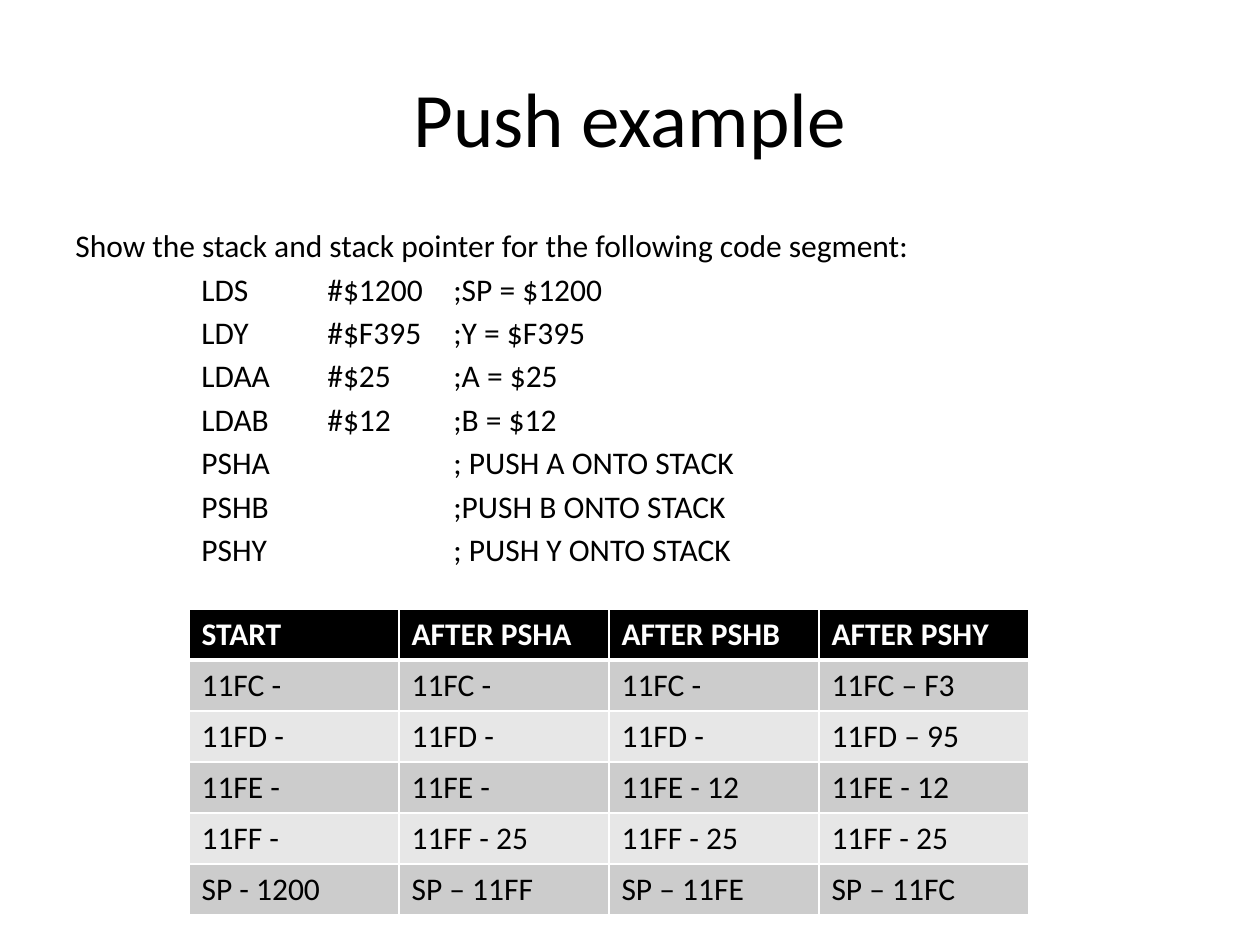
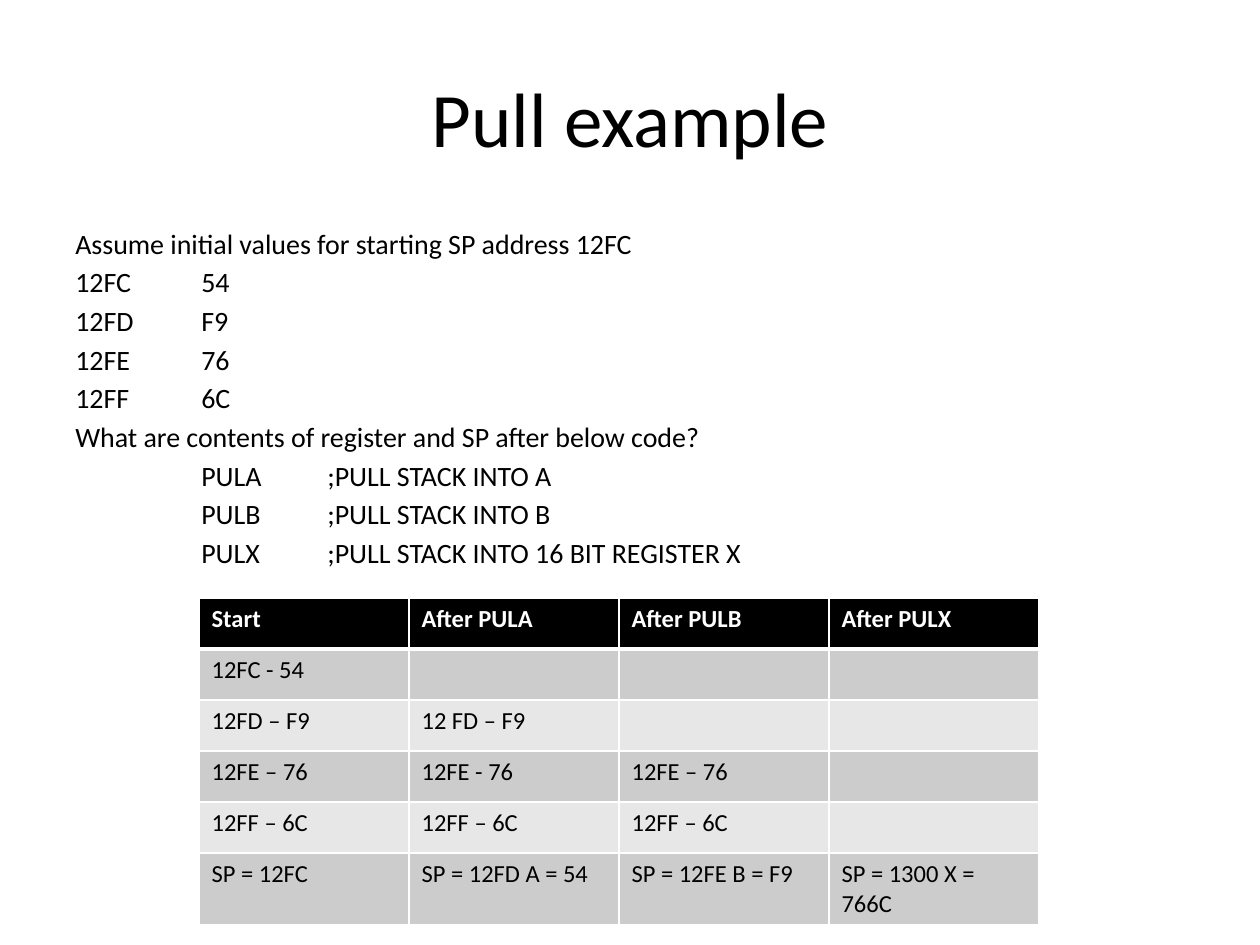
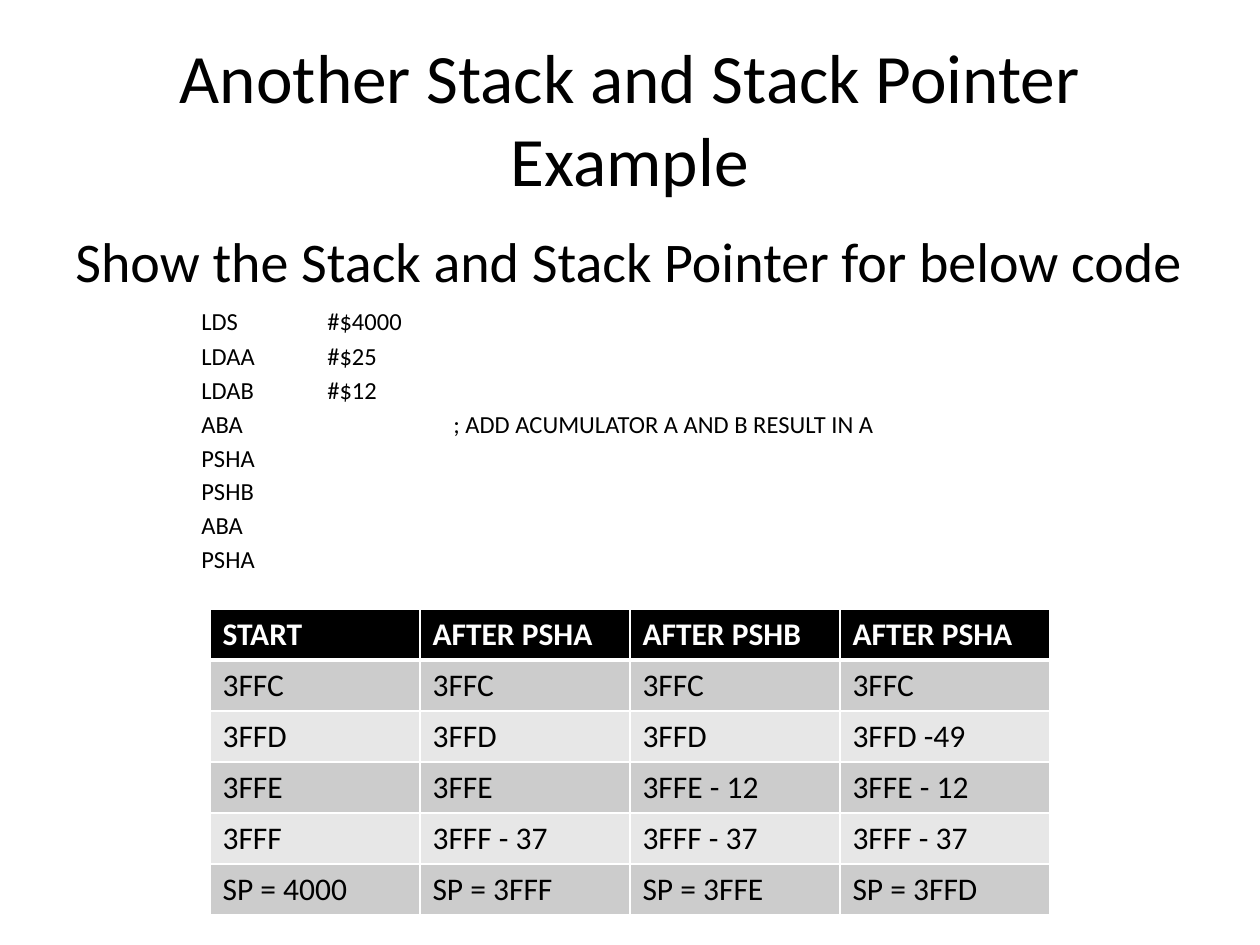
from lxml.etree import SubElement
from pptx import Presentation
from pptx.dml.color import RGBColor
from pptx.enum.text import MSO_ANCHOR as Anchor, PP_ALIGN as Align
from pptx.oxml.ns import qn
from pptx.util import Pt

PX = 914400 / 126
FONT = "Calibri"
COLORS = {
    "page": "FFFFFF",
    "text": "000000",
    "header": "000000",
    "header_text": "FFFFFF",
    "odd_row": "CCCCCC",
    "even_row": "E7E7E7",
    "grid": "FFFFFF",
}
TITLE_BOX = (63, 38, 1134, 158)
BODY_BOX = (63, 220, 1134, 624)
TAB, COLUMN, ROW = 126, 210, 51


def px(length):
    return round(length * PX)


def write(paragraph, text, size, color="text", bold=False, align=Align.LEFT):
    paragraph.alignment = align
    run = paragraph.add_run()
    run.text = text
    run.font.name = FONT
    run.font.size = Pt(size)
    run.font.bold = bold
    run.font.color.rgb = RGBColor.from_string(COLORS[color])


examples = [
    {
        "title": "Push example",
        "title_size": 44,
        "body": [[(18, line)] for line in (
            "Show the stack and stack pointer for the following code segment:",
            "\tLDS\t#$1200\t;SP = $1200",
            "\tLDY\t#$F395\t;Y = $F395",
            "\tLDAA\t#$25\t;A = $25",
            "\tLDAB\t#$12\t;B = $12",
            "\tPSHA\t\t; PUSH A ONTO STACK",
            "\tPSHB\t\t;PUSH B ONTO STACK",
            "\tPSHY\t\t; PUSH Y ONTO STACK",
        )],
        "stack_at": (189, 609),
        "stack_size": 18,
        "stack": [
            ("START", "AFTER PSHA", "AFTER PSHB", "AFTER PSHY"),
            ("11FC -", "11FC -", "11FC -", "11FC – F3"),
            ("11FD -", "11FD -", "11FD -", "11FD – 95"),
            ("11FE -", "11FE -", "11FE - 12", "11FE - 12"),
            ("11FF -", "11FF - 25", "11FF - 25", "11FF - 25"),
            ("SP - 1200", "SP – 11FF", "SP – 11FE", "SP – 11FC"),
        ],
    },
    {
        "title": "Pull example",
        "title_size": 44,
        "body": [[(16, line)] for line in (
            "Assume initial values for starting SP address 12FC",
            "12FC\t54",
            "12FD\tF9",
            "12FE\t76",
            "12FF\t6C",
            "What are contents of register and SP after below code?",
            "\tPULA\t;PULL STACK INTO A",
            "\tPULB\t;PULL STACK INTO B",
            "\tPULX\t;PULL STACK INTO 16 BIT REGISTER X",
        )],
        "stack_at": (199, 598),
        "stack_size": 14,
        "stack": [
            ("Start", "After PULA", "After PULB", "After PULX"),
            ("12FC - 54", "", "", ""),
            ("12FD – F9", "12 FD – F9", "", ""),
            ("12FE – 76", "12FE - 76", "12FE – 76", ""),
            ("12FF – 6C", "12FF – 6C", "12FF – 6C", ""),
            ("SP = 12FC", "SP = 12FD A = 54", "SP = 12FE B = F9", "SP = 1300 X = 766C"),
        ],
    },
    {
        "title": "Another Stack and Stack Pointer Example",
        "title_size": 39.6,
        "body": [
            [(32, "Show the Stack and Stack Pointer for below code")],
            [(18, "\t"), (14, "LDS\t#$4000")],
        ] + [[(14, line)] for line in (
            "\tLDAA\t#$25",
            "\tLDAB\t#$12",
            "\tABA\t\t; ADD ACUMULATOR A AND B RESULT IN A",
            "\tPSHA",
            "\tPSHB",
            "\tABA",
            "\tPSHA",
        )],
        "stack_at": (210, 609),
        "stack_size": 18,
        "stack": [
            ("START", "AFTER PSHA", "AFTER PSHB", "AFTER PSHA"),
            ("3FFC", "3FFC", "3FFC", "3FFC"),
            ("3FFD", "3FFD", "3FFD", "3FFD -49"),
            ("3FFE", "3FFE", "3FFE - 12", "3FFE - 12"),
            ("3FFF", "3FFF - 37", "3FFF - 37", "3FFF - 37"),
            ("SP = 4000", "SP = 3FFF", "SP = 3FFE", "SP = 3FFD"),
        ],
    },
]

deck = Presentation()
deck.slide_width, deck.slide_height = px(1260), px(945)

for example in examples:
    slide = deck.slides.add_slide(deck.slide_layouts[6])
    slide.background.fill.solid()
    slide.background.fill.fore_color.rgb = RGBColor.from_string(COLORS["page"])

    title = slide.shapes.add_textbox(*map(px, TITLE_BOX)).text_frame
    title.word_wrap = True
    title.vertical_anchor = Anchor.MIDDLE
    write(title.paragraphs[0], example["title"], example["title_size"], align=Align.CENTER)

    body = slide.shapes.add_textbox(*map(px, BODY_BOX)).text_frame
    body.word_wrap = True
    for index, runs in enumerate(example["body"]):
        line = body.add_paragraph() if index else body.paragraphs[0]
        if index:
            line.space_before = Pt(round(0.18 * runs[0][0], 1))
        stops = SubElement(line._p.get_or_add_pPr(), qn("a:tabLst"))
        for stop in (1, 2, 3):
            SubElement(stops, qn("a:tab"), pos=str(px(stop * TAB)), algn="l")
        for size, text in runs:
            write(line, text, size)

    rows = example["stack"]
    left, top = example["stack_at"]
    width, height = COLUMN * len(rows[0]), ROW * len(rows)
    stack = slide.shapes.add_table(
        len(rows), len(rows[0]), px(left), px(top), px(width), px(height)
    ).table
    stack.horz_banding = False
    for column in stack.columns:
        column.width = px(COLUMN)
    for r, values in enumerate(rows):
        stack.rows[r].height = px(ROW)
        band = "header" if r == 0 else "odd_row" if r % 2 else "even_row"
        for c, value in enumerate(values):
            cell = stack.cell(r, c)
            borders = {"lnL": 1, "lnR": 1, "lnT": 3 if r == 1 else 1, "lnB": 1 if r else 3}
            for side, weight in borders.items():
                edge = SubElement(cell._tc.get_or_add_tcPr(), qn("a:" + side), w=str(Pt(weight)))
                paint = SubElement(edge, qn("a:solidFill"))
                SubElement(paint, qn("a:srgbClr"), val=COLORS["grid"])
            cell.fill.solid()
            cell.fill.fore_color.rgb = RGBColor.from_string(COLORS[band])
            if value:
                write(
                    cell.text_frame.paragraphs[0], value, example["stack_size"],
                    color="text" if r else "header_text", bold=r == 0,
                )

deck.save("out.pptx")
